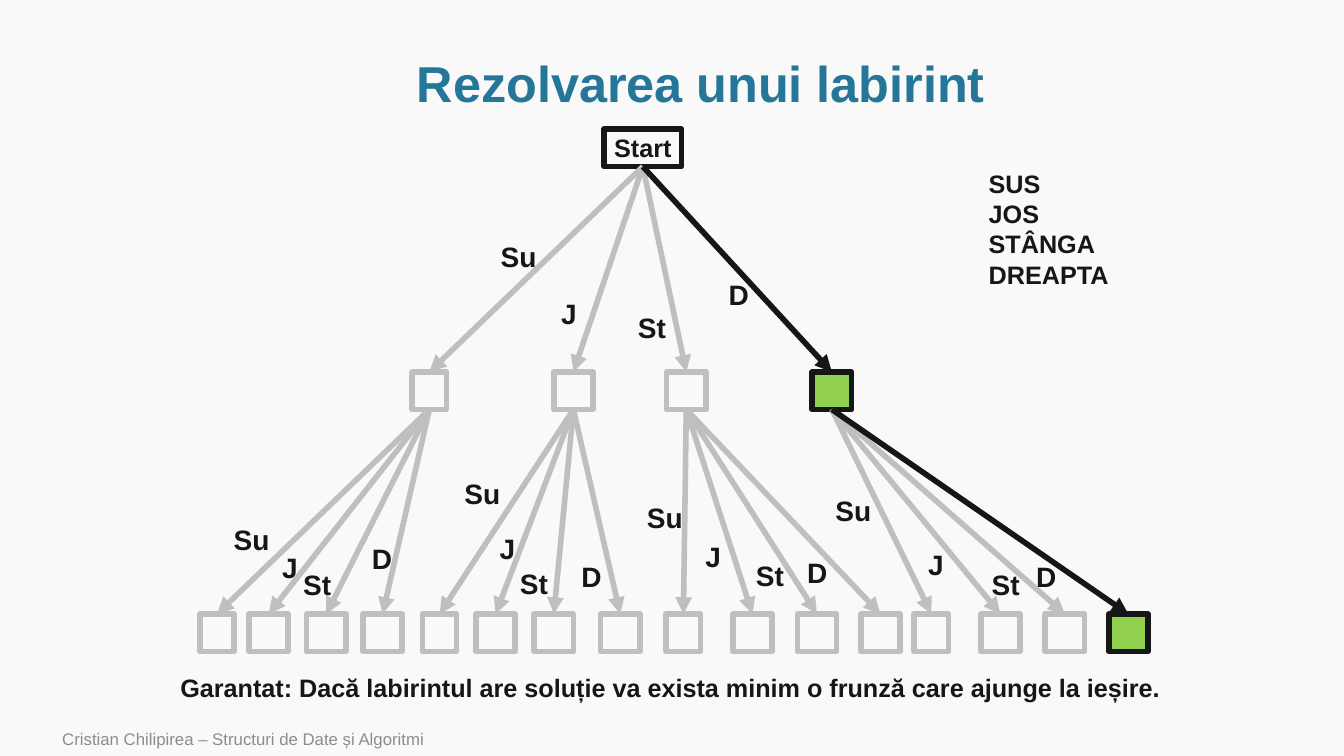
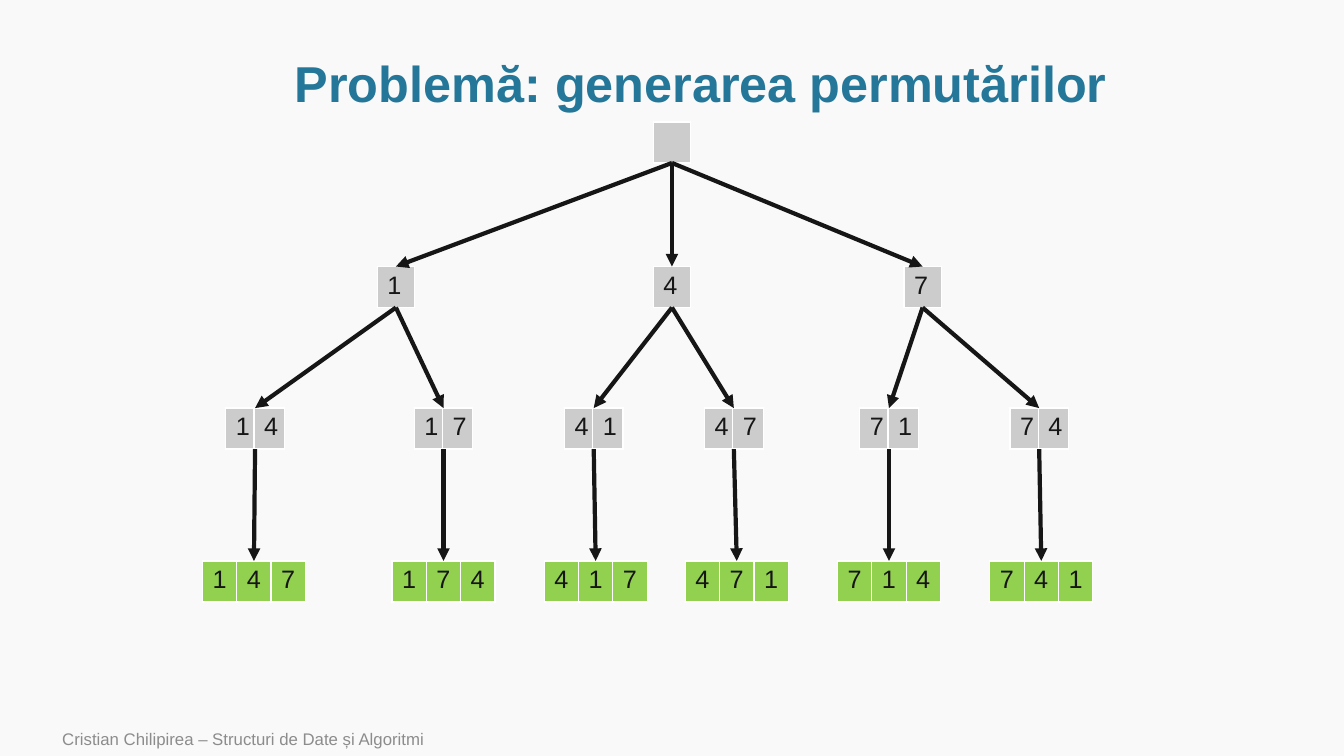
from lxml.etree import SubElement
from pptx import Presentation
from pptx.dml.color import RGBColor
from pptx.enum.shapes import MSO_CONNECTOR, MSO_SHAPE
from pptx.enum.text import MSO_ANCHOR, MSO_AUTO_SIZE, PP_ALIGN
from pptx.oxml.ns import qn
from pptx.util import Pt

INK, MUTED, GREEN = "171616", "BFBFBF", "92D050"
BACKGROUND, CELL_GRAY, WHITE = "F9F9F9", "CCCCCC", "FFFFFF"

BODY = {"name": "Arial", "size": Pt(18), "color": INK}
BOLD = {**BODY, "bold": True}
EDGE_LABEL = {**BOLD, "size": Pt(20)}
TITLE = {**BOLD, "size": Pt(36), "color": "247798"}
FOOTER = {**BODY, "size": Pt(12), "color": "8C8C8C"}

FOOTER_TEXT = "Cristian Chilipirea – Structuri de Date și Algoritmi"
MAZE_TITLE = "Rezolvarea unui labirint"
PERMUTATION_TITLE = "Problemă: generarea permutărilor"
DIRECTIONS = ["SUS", "JOS", "STÂNGA", "DREAPTA"]
GUARANTEE = "Garantat: Dacă labirintul are soluție va exista minim o frunză care ajunge la ieșire."

MOVES = [("Su", 40.3), ("J", 25.9), ("St", 34.6), ("D", 29.5)]
START = {"center": 459.2, "top": 92.2, "width": 55.4}
BOX_HEIGHT = 26.8
BOX_WIDTHS = [24.5, 28.1, 28.1, 28.1]
STEP_TOP, LEAF_TOP = 265.7, 438.6
STEP_CENTERS = [306.7, 409.6, 490.2, 594.2]
STEP_LABELS = [(350.6, 167.8), (393.8, 208), (448.6, 218.2), (513.4, 194.4)]
LEAF_CENTERS = [
    [155, 191.9, 233, 273.3],
    [314, 354, 395.6, 443],
    [488.2, 537.5, 583.6, 629],
    [665.3, 714.6, 760.7, 806],
]
LEAF_LABELS = [
    [(159.8, 370), (194.4, 389.5), (209.5, 401.8), (258.5, 383)],
    [(324.7, 337), (349.9, 375.8), (364.3, 401), (408.2, 396)],
    [(455, 354.2), (496.8, 381.6), (532.8, 395.3), (569.5, 393.1)],
    [(589.7, 349.2), (655.9, 387.4), (701.3, 401.8), (733, 396)],
]

CELL_HEIGHT = 29.3
LEVELS = [
    {"top": 87.1, "columns": [26.6], "fill": CELL_GRAY, "nodes": {"": 480}},
    {"top": 190.4, "columns": [26.6], "fill": CELL_GRAY,
     "nodes": {"1": 282.8, "4": 480, "7": 659}},
    {"top": 291.5, "columns": [20.2, 21.6], "fill": CELL_GRAY,
     "nodes": {"14": 182.2, "17": 316.8, "41": 424.1, "47": 524.2, "71": 635, "74": 742.3}},
    {"top": 400.7, "columns": [24.5] * 3, "fill": GREEN,
     "nodes": {"147": 181.4, "174": 316.8, "417": 425.5, "471": 526.3, "714": 635, "741": 743.8}},
]


def color(value):
    return RGBColor.from_string(value)


def write(frame, lines, style, **paragraph_format):
    for index, line in enumerate(lines):
        paragraph = frame.paragraphs[0] if index == 0 else frame.add_paragraph()
        for name, value in paragraph_format.items():
            setattr(paragraph, name, value)
        run = paragraph.add_run()
        run.text = line
        for name, value in style.items():
            if name == "color":
                run.font.color.rgb = color(value)
            else:
                setattr(run.font, name, value)


def add_text(slide, place, lines, style, frame_format, **paragraph_format):
    frame = slide.shapes.add_textbox(*map(Pt, place)).text_frame
    for name, value in frame_format.items():
        setattr(frame, name, value)
    write(frame, lines, style, **paragraph_format)


def add_arrow(slide, start, end, line_color, width):
    arrow = slide.shapes.add_connector(MSO_CONNECTOR.STRAIGHT, *map(Pt, start + end))
    arrow.line.color.rgb = color(line_color)
    arrow.line.width = Pt(width)
    SubElement(arrow.line._get_or_add_ln(), qn("a:tailEnd"), type="triangle")
    SubElement(arrow._element.spPr, qn("a:effectLst"))


def add_box(slide, center, top, width, line_color, fill=None):
    place = (center - width / 2, top, width, BOX_HEIGHT)
    box = slide.shapes.add_shape(MSO_SHAPE.RECTANGLE, *map(Pt, place))
    box.shadow.inherit = False
    box.line.color.rgb = color(line_color)
    box.line.width = Pt(4)
    if fill:
        box.fill.solid()
        box.fill.fore_color.rgb = color(fill)
    else:
        box.fill.background()
    return box


def add_branches(slide, parent, centers, top, on_path):
    for index, (center, width) in enumerate(zip(centers, BOX_WIDTHS)):
        chosen = on_path and index == len(centers) - 1
        line_color = INK if chosen else MUTED
        add_arrow(slide, parent, (center, top), line_color, 4)
        add_box(slide, center, top, width, line_color, GREEN if chosen else None)


def add_edge_labels(slide, places):
    for (move, width), (left, top) in zip(MOVES, places):
        add_text(slide, (left, top, width, 31.5), [move], EDGE_LABEL,
                 {"word_wrap": False, "auto_size": MSO_AUTO_SIZE.SHAPE_TO_FIT_TEXT})


def add_cells(slide, digits, center, level):
    columns = level["columns"]
    width = sum(columns)
    place = (center - width / 2, level["top"], width, CELL_HEIGHT)
    table = slide.shapes.add_table(1, len(columns), *map(Pt, place)).table
    table.first_row = table.horz_banding = False
    for index, column_width in enumerate(columns):
        table.columns[index].width = Pt(column_width)
        cell = table.cell(0, index)
        write(cell.text_frame, digits[index:index + 1], BODY)
        properties = cell._tc.get_or_add_tcPr()
        for side in ("lnL", "lnR", "lnT", "lnB"):
            border = SubElement(properties, qn(f"a:{side}"), w=str(Pt(1)))
            border_fill = SubElement(border, qn("a:solidFill"))
            SubElement(border_fill, qn("a:srgbClr"), val=WHITE)
        cell.fill.solid()
        cell.fill.fore_color.rgb = color(level["fill"])


def add_slide(presentation, title):
    slide = presentation.slides.add_slide(presentation.slide_layouts[6])
    slide.background.fill.solid()
    slide.background.fill.fore_color.rgb = color(BACKGROUND)
    middle = {"word_wrap": True, "vertical_anchor": MSO_ANCHOR.MIDDLE}
    add_text(slide, (82, 36.7, 837.4, 49.7), [title], TITLE, middle,
             alignment=PP_ALIGN.CENTER, line_spacing=0.9)
    add_text(slide, (37.4, 515.5, 604.8, 24.5), [FOOTER_TEXT], FOOTER, middle)
    return slide


def build_maze(presentation):
    slide = add_slide(presentation, MAZE_TITLE)
    start = add_box(slide, **START, line_color=INK)
    start.text_frame.word_wrap = False
    start.text_frame.vertical_anchor = MSO_ANCHOR.MIDDLE
    write(start.text_frame, ["Start"], BOLD, alignment=PP_ALIGN.CENTER)

    root = (START["center"], START["top"] + BOX_HEIGHT)
    add_branches(slide, root, STEP_CENTERS, STEP_TOP, True)
    for center, leaves in zip(STEP_CENTERS, LEAF_CENTERS):
        parent = (center, STEP_TOP + BOX_HEIGHT)
        add_branches(slide, parent, leaves, LEAF_TOP, center == STEP_CENTERS[-1])
    for places in [STEP_LABELS, *LEAF_LABELS]:
        add_edge_labels(slide, places)

    add_text(slide, (699.1, 116.6, 121, 94.3), DIRECTIONS, BOLD,
             {"word_wrap": True}, line_spacing=Pt(21.6))
    add_text(slide, (121.7, 476.6, 721.4, 28.8), [GUARANTEE], BOLD, {"word_wrap": False})


def build_permutations(presentation):
    slide = add_slide(presentation, PERMUTATION_TITLE)
    for level in LEVELS:
        for digits, center in level["nodes"].items():
            add_cells(slide, digits, center, level)
    for upper, lower in zip(LEVELS, LEVELS[1:]):
        for digits, center in lower["nodes"].items():
            parent = (upper["nodes"][digits[:-1]], upper["top"] + CELL_HEIGHT)
            add_arrow(slide, parent, (center, lower["top"]), INK, 3)


def main():
    presentation = Presentation()
    presentation.slide_width, presentation.slide_height = Pt(960), Pt(540)
    build_maze(presentation)
    build_permutations(presentation)
    presentation.save("out.pptx")


if __name__ == "__main__":
    main()
